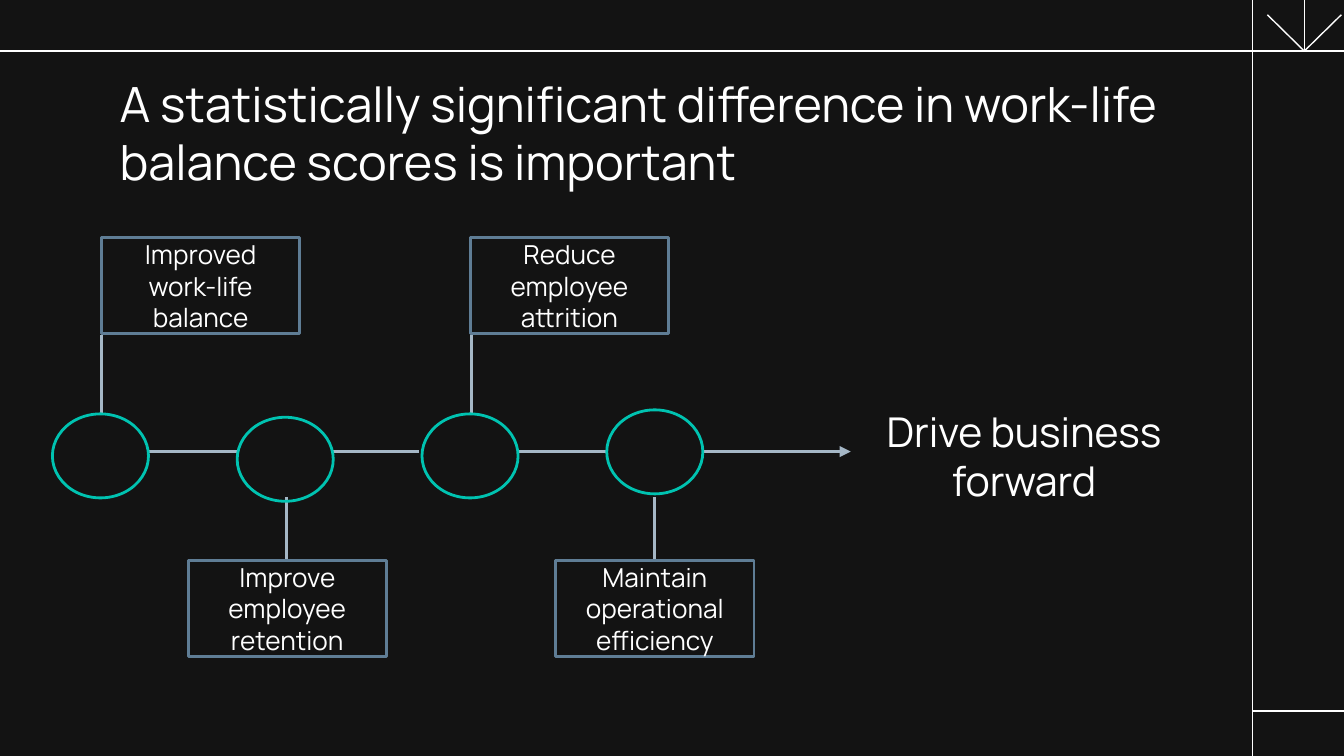
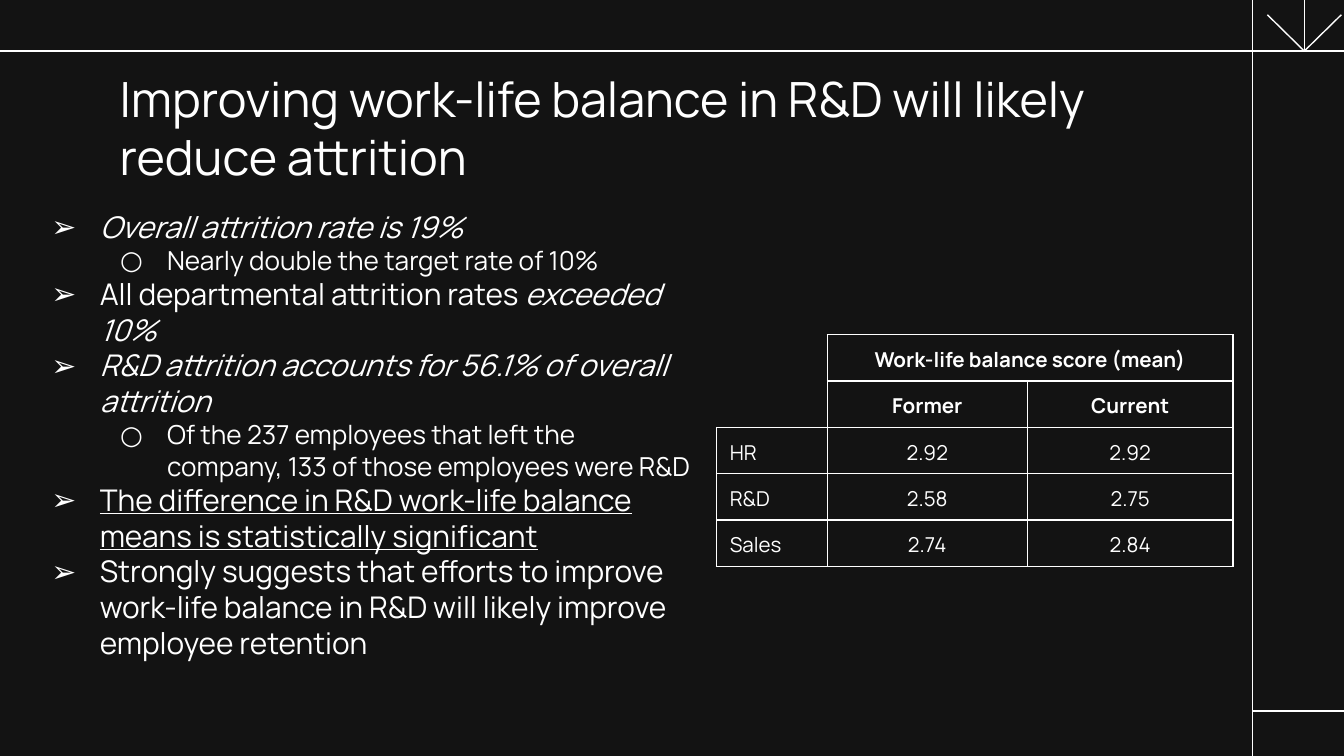
import pptx
import pptx.dml.color
import pptx.enum.shapes
import pptx.enum.text
import pptx.oxml.ns
import pptx.util
from lxml import etree

PX = 4572  # 200 px to the inch
WHITE, BACKDROP = "FFFFFF", "131313"
LINK, LABEL_EDGE, MILESTONE_EDGE = "A5B7C6", "5F7D95", "00C3B1"
FONT = "Manrope"
CENTER = pptx.enum.text.PP_ALIGN.CENTER
LEFT = pptx.enum.text.PP_ALIGN.LEFT
MIDDLE = pptx.enum.text.MSO_ANCHOR.MIDDLE
TOP = pptx.enum.text.MSO_ANCHOR.TOP
SHAPE = pptx.enum.shapes.MSO_SHAPE
rgb = pptx.dml.color.RGBColor.from_string
qn = pptx.oxml.ns.qn


def draw_line(slide, ends, color=WHITE, width=0.75, arrow=False):
    connector = slide.shapes.add_connector(
        pptx.enum.shapes.MSO_CONNECTOR.STRAIGHT, *[PX * end for end in ends])
    connector.line.color.rgb = rgb(color)
    connector.line.width = pptx.util.Pt(width)
    properties = connector._element.spPr
    if arrow:
        etree.SubElement(properties.find(qn("a:ln")), qn("a:tailEnd"), type="triangle")
    etree.SubElement(properties, qn("a:effectLst"))


def write(paragraph, text, size, align=LEFT, **formats):
    paragraph.alignment = align
    run = paragraph.add_run()
    run.text = text
    run.font.color.rgb = rgb(WHITE)
    for name, value in {"name": FONT, "size": pptx.util.Pt(size), **formats}.items():
        setattr(run.font, name, value)


prs = pptx.Presentation()
prs.slide_width, prs.slide_height = 2000 * PX, 1125 * PX
backdrop = prs.slide_master.background.fill
backdrop.solid()
backdrop.fore_color.rgb = rgb(BACKDROP)

# Shared frame lines and titles
frame = [
    (1864, -20, 1864, 1144), (1941, -2, 1941, 76), (1996, 22, 1941, 76),
    (1941, 76, 1886, 22), (1864, 76, 2018, 76), (-20, 76, 2040, 76),
    (1864, 1058, 2040, 1058),
]
headings = [
    (90, "A statistically significant difference in work-life balance scores is important"),
    (83, "Improving work-life balance in R&D will likely reduce attrition"),
]
slides = []
for title_top, heading in headings:
    slide = prs.slides.add_slide(prs.slide_layouts[5])
    for ends in frame:
        draw_line(slide, ends)
    title = slide.shapes.title
    title.left, title.top, title.width, title.height = [
        PX * n for n in (158, title_top, 1686, 126)]
    title_format = {"auto_size": pptx.enum.text.MSO_AUTO_SIZE.NONE, "word_wrap": True,
                    "vertical_anchor": TOP, "margin_left": 20 * PX, "margin_right": 20 * PX,
                    "margin_top": 20 * PX, "margin_bottom": 20 * PX}
    for name, value in title_format.items():
        setattr(title.text_frame, name, value)
    write(title.text_frame.paragraphs[0], heading, 26)
    slides.append(slide)
roadmap, findings = slides

# Roadmap: links between milestones, the last one an arrow
links = [(222, 354), (492, 624), (770, 902), (1046, 1266)]
for start, end in links:
    draw_line(roadmap, (start, 672, end, 672), LINK, 1.5, arrow=(start, end) == links[-1])

# Roadmap: milestones with labels alternating above and below
milestones = [
    ("Improved work-life balance", 616, 151, 151),
    ("Improve employee retention", 621, 426, 280),
    ("Reduce employee attrition", 616, 702, 700),
    ("Maintain operational efficiency", 610, 974, 827),
]
for step, (label, circle_top, stem, label_left) in enumerate(milestones):
    above = step % 2 == 0
    stem_start, stem_end, label_top = (614, 498, 354) if above else (836, 740, 834)
    draw_line(roadmap, (stem, stem_start, stem, stem_end), LINK, 1.5)
    outlines = [
        (SHAPE.OVAL, (78 + 275 * step, circle_top, 143, 125), MILESTONE_EDGE, ""),
        (SHAPE.RECTANGLE, (label_left, label_top, 295, 143), LABEL_EDGE, label),
    ]
    for kind, place, edge, text in outlines:
        outline = roadmap.shapes.add_shape(kind, *[PX * n for n in place])
        outline.shadow.inherit = False
        outline.fill.background()
        outline.line.color.rgb = rgb(edge)
        outline.line.width = pptx.util.Pt(1.5)
        if text:
            label_format = {"word_wrap": True, "vertical_anchor": MIDDLE,
                            "margin_top": 20 * PX, "margin_bottom": 20 * PX}
            for name, value in label_format.items():
                setattr(outline.text_frame, name, value)
            write(outline.text_frame.paragraphs[0], text, 14, CENTER)

# Text areas: the goal on the roadmap, the bullets on the findings
areas = []
for slide, place, bottom in [(roadmap, (1267, 585, 514, 172), 20),
                             (findings, (29, 290, 1026, 748), 240)]:
    area = slide.shapes.add_textbox(*[PX * n for n in place]).text_frame
    area_format = {"word_wrap": True, "margin_top": 20 * PX, "margin_bottom": bottom * PX,
                   "margin_left": 20 * PX, "margin_right": 20 * PX}
    for name, value in area_format.items():
        setattr(area, name, value)
    areas.append(area)
goal, evidence = areas
write(goal.paragraphs[0], "Drive business forward", 22, CENTER)

# Findings: two levels of bullets, each a list of runs
italic, underlined = {"italic": True}, {"underline": True}
points = [
    (0, [("Overall attrition rate is 19%", italic)]),
    (1, [("Nearly double the target rate of 10%", {})]),
    (0, [("All departmental attrition rates ", {}), ("exceeded 10%", italic)]),
    (0, [("R&D attrition accounts for 56.1% of overall attrition", italic)]),
    (1, [("Of the 237 employees that left the company, "
          "133 of those employees were R&D", {})]),
    (0, [("The difference in R&D work-life balance means is statistically significant",
          underlined)]),
    (0, [("Strongly suggests that efforts to improve work-life balance in R&D "
          "will likely improve employee retention", {})]),
]
levels = [("➢", 100, -72, 16), ("○", 200, -70, 14)]
for number, (level, runs) in enumerate(points):
    point = evidence.add_paragraph() if number else evidence.paragraphs[0]
    bullet, margin, indent, size = levels[level]
    point.level = level
    for text, formats in runs:
        write(point, text, size, **formats)
    properties = point._p.get_or_add_pPr()
    properties.set("marL", str(margin * PX))
    properties.set("indent", str(indent * PX))
    bullet_color = etree.SubElement(properties, qn("a:buClr"))
    etree.SubElement(bullet_color, qn("a:srgbClr"), val=WHITE)
    etree.SubElement(properties, qn("a:buFont"), typeface=FONT)
    etree.SubElement(properties, qn("a:buChar"), char=bullet)

# Findings: score table with an empty corner
scores = [
    ("", "Work-life balance score (mean)", ""),
    ("", "Former", "Current"),
    ("HR", "2.92", "2.92"),
    ("R&D", "2.58", "2.75"),
    ("Sales", "2.74", "2.84"),
]
score_table = findings.shapes.add_table(
    5, 3, *[PX * n for n in (1066, 498, 769, 345)]).table
score_table.first_row = score_table.horz_banding = False
score_table._tbl.tblPr.find(qn("a:tableStyleId")).text = (
    "{2D5ABB26-0587-4C30-8999-92F81FD0307C}")
for column, width in zip(score_table.columns, (165, 298, 306)):
    column.width = width * PX
score_table.cell(0, 1).merge(score_table.cell(0, 2))
corner_sides = {(0, 0): "R", (1, 0): "RB"}
for row, values in enumerate(scores):
    score_table.rows[row].height = 69 * PX
    for col, value in enumerate(values):
        cell = score_table.cell(row, col)
        properties = cell._tc.get_or_add_tcPr()
        for side in corner_sides.get((row, col), "LRTB"):
            border = etree.SubElement(properties, qn("a:ln" + side), w="9525")
            border_fill = etree.SubElement(border, qn("a:solidFill"))
            etree.SubElement(border_fill, qn("a:srgbClr"), val=WHITE)
        cell.fill.background()
        entry = cell.text_frame.paragraphs[0]
        entry.line_spacing = 1.15
        if value:
            write(entry, value, 11, CENTER if col else LEFT, bold=row < 2)
        else:
            etree.SubElement(entry._p, qn("a:endParaRPr"), sz="1100")

prs.save("out.pptx")
